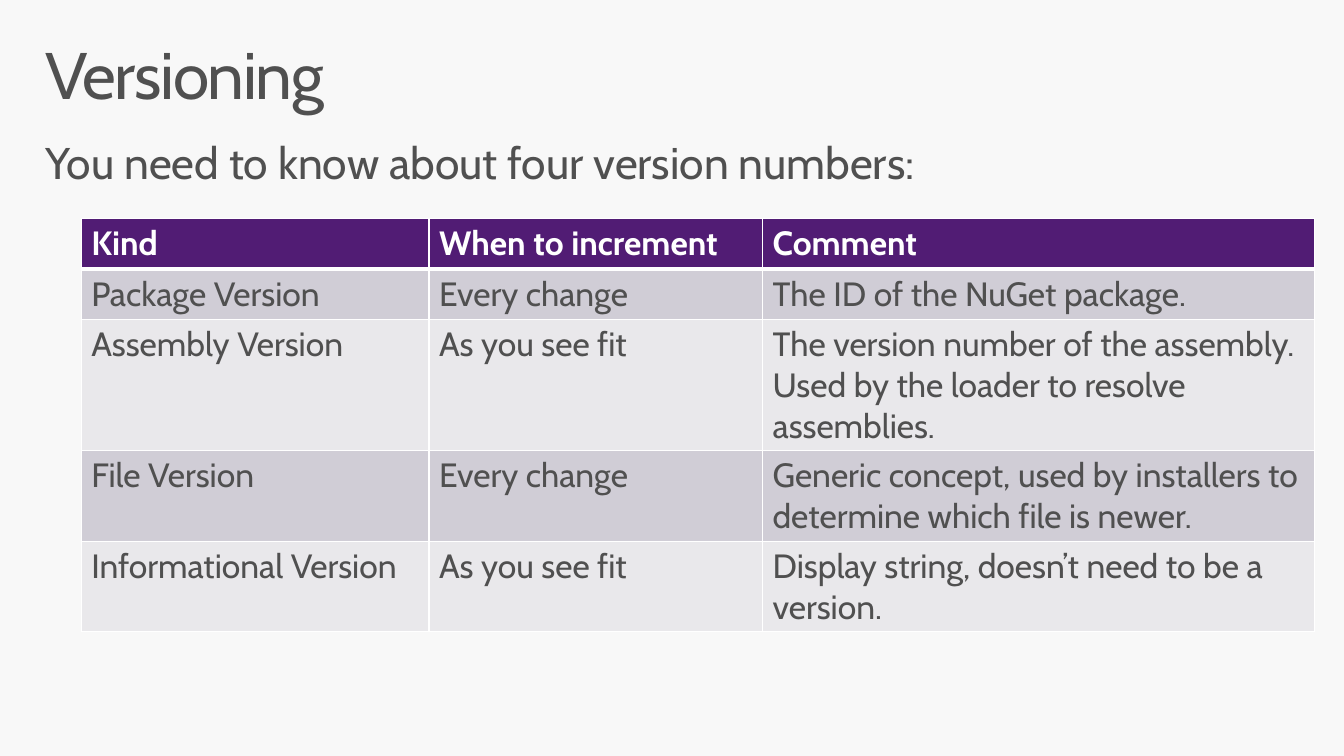
"""Build the slide on the four version numbers."""
import pptx
import pptx.dml.color
import pptx.enum.text
import pptx.oxml
import pptx.oxml.ns
import pptx.util

Pt = pptx.util.Pt
RGB = pptx.dml.color.RGBColor
PAPER = RGB(0xF8, 0xF8, 0xF8)
INK = RGB(0x50, 0x50, 0x50)
WHITE = RGB(0xFF, 0xFF, 0xFF)
PURPLE = RGB(0x51, 0x1C, 0x74)
BANDS = (RGB(0xE9, 0xE8, 0xEB), RGB(0xD0, 0xCD, 0xD6))
WIDTHS = (248.4, 238.3, 394)
ROWS = (
    ("Kind", "When to increment", "Comment"),
    ("Package Version", "Every change", "The ID of the NuGet package."),
    ("Assembly Version", "As you see fit",
     "The version number of the assembly. Used by the loader to resolve assemblies."),
    ("File Version", "Every change",
     "Generic concept, used by installers to determine which file is newer."),
    ("Informational Version", "As you see fit",
     "Display string, doesn’t need to be a version."),
)


class Page:
    face = "Cabin"

    def __init__(self, deck):
        self.slide = deck.slides.add_slide(deck.slide_layouts[6])
        fill = self.slide.background.fill
        fill.solid()
        fill.fore_color.rgb = PAPER

    def label(self, para, text, color, **form):
        run = para.add_run()
        run.text = text
        for name, value in {"name": self.face, **form}.items():
            setattr(run.font, name, value)
        run.font.color.rgb = color
        return run

    def text(self, text, left, top, width, height, size, track=0):
        box = self.slide.shapes.add_textbox(Pt(left), Pt(top), Pt(width), Pt(height))
        frame = box.text_frame
        form = {
            "word_wrap": True,
            "vertical_anchor": pptx.enum.text.MSO_ANCHOR.TOP,
            "margin_left": Pt(11.5),
            "margin_right": Pt(11.5),
            "margin_top": Pt(7.2),
            "margin_bottom": Pt(7.2),
        }
        for name, value in form.items():
            setattr(frame, name, value)
        para = frame.paragraphs[0]
        para.line_spacing = 0.9
        run = self.label(para, text, INK, size=Pt(size))
        if track:
            run.font._element.set("spc", str(track * 100))

    def edge(self, cell, side, width):
        line = pptx.oxml.parse_xml(
            f'<a:{side} {pptx.oxml.ns.nsdecls("a")} w="{Pt(width)}">'
            f'<a:solidFill><a:srgbClr val="{WHITE}"/></a:solidFill></a:{side}>')
        cell._tc.get_or_add_tcPr().append(line)

    def table(self, rows, widths, left, top, high):
        grid = self.slide.shapes.add_table(
            len(rows), len(widths), Pt(left), Pt(top),
            Pt(sum(widths)), Pt(high * len(rows))).table
        for col, width in zip(grid.columns, widths):
            col.width = Pt(width)
        for r, row in enumerate(rows):
            head = r == 0
            for c, text in enumerate(row):
                cell = grid.cell(r, c)
                for side in ("lnL", "lnR", "lnT", "lnB"):
                    thick = (head and side == "lnB") or (r == 1 and side == "lnT")
                    self.edge(cell, side, 3 if thick else 1)
                cell.fill.solid()
                cell.fill.fore_color.rgb = PURPLE if head else BANDS[r % 2]
                self.label(cell.text_frame.paragraphs[0], text,
                           WHITE if head else INK, size=Pt(24), bold=head)


def main():
    deck = pptx.Presentation()
    deck.slide_width, deck.slide_height = Pt(960), Pt(540)
    page = Page(deck)
    page.text("You need to know about four version numbers:", 21, 93.6, 917.3, 49, 31.7)
    page.text("Versioning", 21, 23, 918, 70.6, 47, track=-1)
    page.table(ROWS, WIDTHS, 58, 156, 29.5)
    deck.save("out.pptx")


if __name__ == "__main__":
    main()
